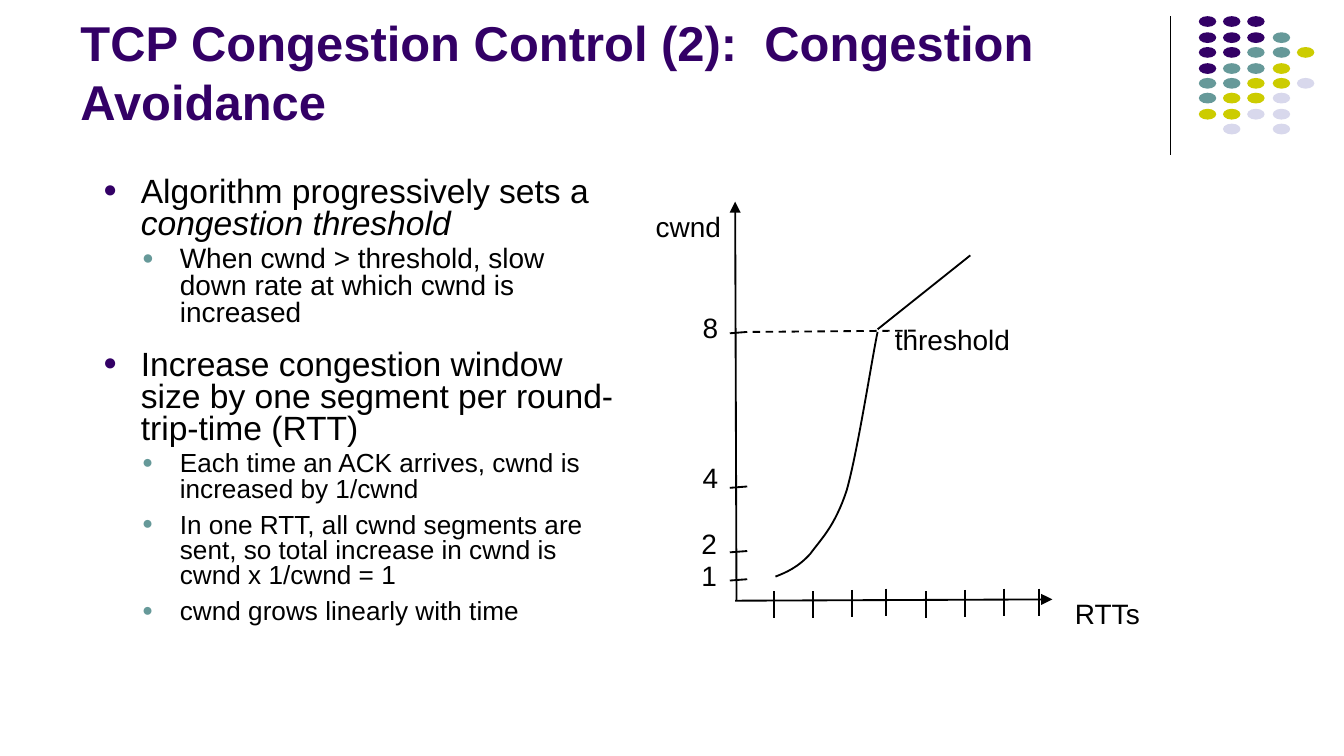
from lxml.etree import SubElement
from pptx import Presentation
from pptx.dml.color import RGBColor
from pptx.enum.dml import MSO_LINE_DASH_STYLE as DASH
from pptx.enum.shapes import MSO_CONNECTOR as CONNECTOR, MSO_SHAPE as SHAPE
from pptx.enum.text import MSO_ANCHOR as ANCHOR, MSO_AUTO_SIZE as AUTO_SIZE
from pptx.oxml.ns import qn
from pptx.util import Emu, Pt

SCALE = 9144  # EMU per px, 100 px to the inch
SLIDE_WIDTH = 1000
FONT = "Arial"
COLORS = {
    "black": "000000",
    "purple": "330066",
    "teal": "669999",
    "yellow": "CCCC00",
    "lavender": "D8D8EC",
}
DOT_COLORS = {"P": "purple", "T": "teal", "Y": "yellow", "L": "lavender"}
DOT_ROWS = ["PPP", "PPPT", "PPTTY", "PTTY", "TTYYL", "TYYL", "YYLL", ".L.L"]

# Level, size, space before, runs as (text, italic)
BULLETS = [
    (0, 18, 0, [("Algorithm progressively sets a ", False),
                ("congestion threshold", True)]),
    (1, 15, 3, [("When cwnd > threshold, slow down rate at which cwnd is increased", False)]),
    (0, 18, 12, [("Increase congestion window size by one segment per "
                  "round-trip-time (RTT)", False)]),
    (1, 14, 3, [("Each time an ACK arrives, cwnd is increased by 1/cwnd", False)]),
    (1, 14, 6, [("In one RTT, all cwnd segments are sent, so total increase in cwnd is "
                 "cwnd x 1/cwnd = 1", False)]),
    (1, 14, 6, [("cwnd grows linearly with time", False)]),
]

# Window size, left and top of its label, height of its tick
CWND_TICKS = [("1", 512, 411, 432), ("2", 512, 387, 411),
              ("4", 513, 338, 363), ("8", 513, 226, 248)]
# Left and top of each round-trip tick
RTT_TICKS = [(576, 440), (605, 440), (634, 439), (659, 438),
             (689, 440), (718, 439), (747, 438), (773, 438)]
# Start point, then two control points and an end point for each segment
GROWTH_CURVE = [(577, 429), (585, 426), (594, 422), (603, 412),
                (611, 401), (621, 392), (630, 365),
                (638, 337), (649, 266), (653, 247)]


def px(value):
    return Emu(value * SCALE)


def rgb(name):
    return RGBColor.from_string(COLORS[name])


def style_font(font, size, color="black", bold=False, italic=False):
    font.name, font.size = FONT, Pt(size)
    font.bold, font.italic = bold, italic
    font.color.rgb = rgb(color)


def add_text_box(slide, left, top, width, height, wrap=True):
    frame = slide.shapes.add_textbox(px(left), px(top), px(width), px(height)).text_frame
    frame.word_wrap = wrap
    return frame


def add_label(slide, text, left, top, width):
    frame = add_text_box(slide, left, top, width, 35, wrap=False)
    frame.auto_size = AUTO_SIZE.SHAPE_TO_FIT_TEXT
    frame.text = text
    style_font(frame.paragraphs[0].runs[0].font, 15)


def add_line(slide, start, end, width=1, arrow=None, dash=None):
    line = slide.shapes.add_connector(
        CONNECTOR.STRAIGHT, px(start[0]), px(start[1]), px(end[0]), px(end[1]))
    line.line.color.rgb = rgb("black")
    line.line.width = Pt(width)
    if dash:
        line.line.dash_style = dash
    if arrow:
        SubElement(line.line._get_or_add_ln(), qn(f"a:{arrow}"), type="triangle")
    SubElement(line._element.spPr, qn("a:effectLst"))


def add_curve(slide, points):
    pixels = [(px(x), px(y)) for x, y in points]
    builder = slide.shapes.build_freeform(*pixels[0])
    builder.add_line_segments(pixels[1:], close=False)
    shape = builder.convert_to_shape()
    shape.shadow.inherit = False
    shape.fill.background()
    shape.line.color.rgb = rgb("black")
    shape.line.width = Pt(1)
    # Turn every three straight segments into one cubic segment
    segments = list(shape._element.iter(qn("a:lnTo")))
    outline = segments[0].getparent()
    for first in range(0, len(segments), 3):
        cubic = SubElement(outline, qn("a:cubicBezTo"))
        for segment in segments[first:first + 3]:
            cubic.append(segment[0])
            outline.remove(segment)


def add_bullet(paragraph, level):
    properties = paragraph._p.get_or_add_pPr()
    properties.set("marL", str(px(57 if level else 28)))
    properties.set("indent", str(px(-28)))
    color = SubElement(properties, qn("a:buClr"))
    SubElement(color, qn("a:srgbClr"), val=COLORS["teal" if level else "purple"])
    SubElement(properties, qn("a:buSzPct"), val="70000")
    SubElement(properties, qn("a:buFont"), typeface=FONT)
    SubElement(properties, qn("a:buChar"), char="●")


def add_dot_pattern(slide):
    add_line(slide, (871, 12), (871, 115), width=0.75)
    for row, letters in enumerate(DOT_ROWS):
        for column, letter in enumerate(letters):
            if letter not in DOT_COLORS:
                continue
            left, top = 892 + round(18.25 * column), round(12.3 + 11.43 * row)
            dot = slide.shapes.add_shape(SHAPE.OVAL, px(left), px(top), px(13), px(8))
            dot.shadow.inherit = False
            dot.fill.solid()
            dot.fill.fore_color.rgb = rgb(DOT_COLORS[letter])
            dot.line.fill.background()


def add_title(slide):
    frame = add_text_box(slide, 50, 32, 825, 70)
    frame.vertical_anchor = ANCHOR.BOTTOM
    frame.text = "TCP Congestion Control (2):  Congestion Avoidance"
    style_font(frame.paragraphs[0].runs[0].font, 26.25, "purple", bold=True)


def add_body(slide):
    frame = add_text_box(slide, 67, 127, 403, 397)
    for index, (level, size, space, runs) in enumerate(BULLETS):
        paragraph = frame.add_paragraph() if index else frame.paragraphs[0]
        paragraph.level = level
        paragraph.line_spacing = 0.8
        paragraph.space_before = Pt(space)
        add_bullet(paragraph, level)
        for text, italic in runs:
            run = paragraph.add_run()
            run.text = text
            style_font(run.font, size, italic=italic)


def add_graph(slide):
    # Axes
    add_line(slide, (547, 150), (548, 447), arrow="headEnd")
    add_line(slide, (547, 447), (783, 446), arrow="tailEnd")
    add_label(slide, "cwnd", 478, 151, 69)
    add_label(slide, "RTTs", 790, 439, 69)
    # Ticks
    for text, label_left, label_top, tick_y in CWND_TICKS:
        add_line(slide, (543, tick_y), (556, tick_y - 1))
        add_label(slide, text, label_left, label_top, 32)
    for left, top in RTT_TICKS:
        add_line(slide, (left, top), (left, top + 20))
    # Threshold and window growth
    add_line(slide, (560, 247), (682, 246), dash=DASH.DASH)
    add_line(slide, (653, 245), (722, 190))
    add_label(slide, "threshold", 656, 235, 107)
    add_curve(slide, GROWTH_CURVE)


def main():
    presentation = Presentation()
    presentation.slide_width = px(SLIDE_WIDTH)
    presentation.slide_height = px(SLIDE_WIDTH) * 9 // 16
    slide = presentation.slides.add_slide(presentation.slide_layouts[6])
    add_dot_pattern(slide)
    add_title(slide)
    add_body(slide)
    add_graph(slide)
    presentation.save("out.pptx")


if __name__ == "__main__":
    main()
